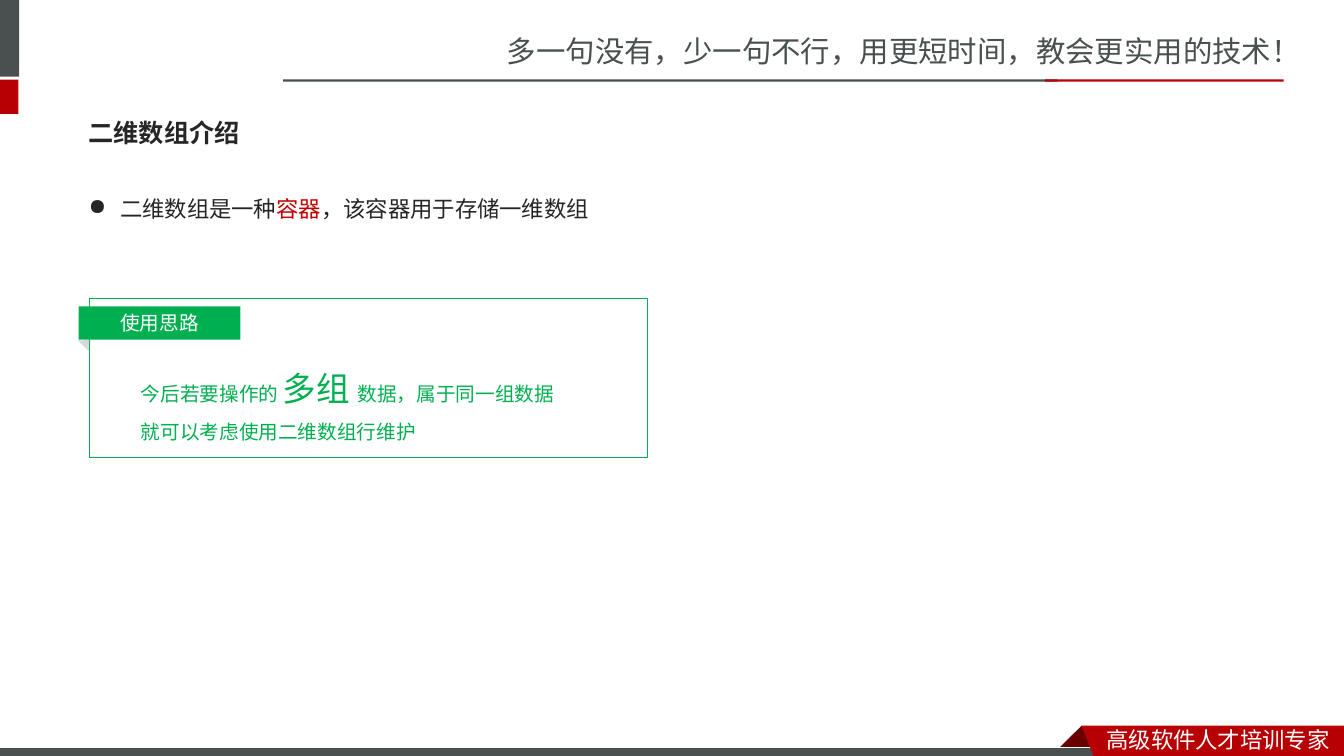
"""Build the slide that introduces two-dimensional arrays."""
from dataclasses import dataclass
from typing import Optional

from lxml.etree import SubElement
from pptx import Presentation
from pptx.dml.color import RGBColor
from pptx.enum.shapes import MSO_SHAPE
from pptx.enum.text import MSO_ANCHOR, PP_ALIGN
from pptx.oxml.ns import qn
from pptx.util import Pt

GREY = RGBColor(0x49, 0x50, 0x4F)
RED = RGBColor(0xB6, 0x00, 0x04)
DARK_RED = RGBColor(0x68, 0x00, 0x00)
ACCENT = RGBColor(0xC0, 0x00, 0x00)
INK = RGBColor(0x26, 0x26, 0x26)
GREEN = RGBColor(0x00, 0xB0, 0x50)
FOLD_GREY = RGBColor(0xD9, 0xD9, 0xD9)
WHITE = RGBColor(0xFF, 0xFF, 0xFF)

CJK = "Noto Sans CJK SC"
CJK_JP = "Noto Sans CJK JP"
MONO = "Noto Sans Mono"
LATO = "Lato"


@dataclass
class Run:
    text: str
    size: float
    color: RGBColor
    font: str = CJK
    bold: bool = False


@dataclass
class Box:
    left: float
    top: float
    width: float
    height: float
    fill: Optional[RGBColor] = None
    line: Optional[RGBColor] = None
    kind: MSO_SHAPE = MSO_SHAPE.RECTANGLE
    rotation: float = 0


@dataclass
class Outline:
    points: list[tuple[float, float]]
    fill: RGBColor


@dataclass
class Label:
    left: float
    top: float
    width: float
    height: float
    lines: list[list[Run]]
    spacing: float = 1.0
    before: float = 0
    wrap: bool = True
    bullet: bool = False
    anchor: MSO_ANCHOR = MSO_ANCHOR.TOP


def paint(sp, fill: Optional[RGBColor], line: Optional[RGBColor] = None) -> None:
    sp.shadow.inherit = False
    if fill is None:
        sp.fill.background()
    else:
        sp.fill.solid()
        sp.fill.fore_color.rgb = fill
    if line is None:
        sp.line.fill.background()
    else:
        sp.line.color.rgb = line
        sp.line.width = Pt(0.75)


def draw_box(s, box: Box):
    sp = s.shapes.add_shape(box.kind, Pt(box.left), Pt(box.top), Pt(box.width), Pt(box.height))
    sp.rotation = box.rotation
    paint(sp, box.fill, box.line)
    return sp


def draw_outline(s, outline: Outline) -> None:
    start, *rest = [(Pt(x), Pt(y)) for x, y in outline.points]
    builder = s.shapes.build_freeform(*start)
    builder.add_line_segments(rest, close=True)
    paint(builder.convert_to_shape(), outline.fill)


def add_runs(p, runs: list[Run]) -> None:
    for run in runs:
        r = p.add_run()
        r.text = run.text
        r.font.size = Pt(run.size)
        r.font.bold = run.bold
        r.font.color.rgb = run.color
        r.font.name = run.font
        east_asian = CJK_JP if run.font == CJK_JP else CJK
        SubElement(r.font._element, qn("a:ea")).set("typeface", east_asian)


def add_bullet(p) -> None:
    props = p._p.get_or_add_pPr()
    props.set("marL", str(Pt(22.5)))
    props.set("indent", str(-Pt(22.5)))
    SubElement(props, qn("a:buChar")).set("char", "●")


def draw_label(s, label: Label) -> None:
    sp = s.shapes.add_textbox(Pt(label.left), Pt(label.top), Pt(label.width), Pt(label.height))
    tf = sp.text_frame
    tf.word_wrap = label.wrap
    tf.vertical_anchor = label.anchor
    for i, runs in enumerate(label.lines):
        p = tf.add_paragraph() if i else tf.paragraphs[0]
        p.line_spacing = label.spacing
        p.space_before = Pt(label.before)
        if label.bullet:
            add_bullet(p)
        add_runs(p, runs)


def draw_tag(s, box: Box, run: Run) -> None:
    tf = draw_box(s, box).text_frame
    tf.vertical_anchor = MSO_ANCHOR.MIDDLE
    p = tf.paragraphs[0]
    p.alignment = PP_ALIGN.CENTER
    add_runs(p, [run])


FRAME = [
    Label(355, 20.2, 605.5, 33.8,
          [[Run("多一句没有，少一句不行，用更短时间，教会更实用的技术！", 21, GREY)]], wrap=False),
    Box(-4.3, 0, 18, 54.7, GREY),
    Box(-4.3, 56.9, 17.5, 24.5, RED),
    Box(202.3, 56.7, 553, 1.6, GREY),
    Box(746.6, 56.7, 170.4, 1.6, RED),
    Outline([(772.6, 518.4), (788.4, 534.2), (787.7, 535), (757.4, 535), (756.7, 534.2)],
            DARK_RED),
    Box(-0.7, 533.8, 792, 8.6, GREY, WHITE),
    Outline([(772.6, 518.4), (960, 518.4), (960, 542.9), (781.9, 542.2)], RED),
    Label(783.2, 514.8, 176.5, 26.6, [[Run("高级软件人才培训专家", 16, WHITE)]], wrap=False),
]

CONTENT = [
    Label(56.2, 126, 487.4, 33.8,
          [[Run("二维数组是一种", 16, INK, CJK_JP), Run("容器", 16, ACCENT, CJK_JP),
            Run("，该容器用于存储一维数组", 16, INK, CJK_JP)]], spacing=1.5, bullet=True),
    Label(56.2, 74.2, 846.7, 41, [[Run("二维数组介绍", 18, INK, MONO, True)]],
          before=3.6, anchor=MSO_ANCHOR.MIDDLE),
    Box(56.2, 241.9, 12.2, 6.5, FOLD_GREY, kind=MSO_SHAPE.ISOSCELES_TRIANGLE, rotation=44.2),
    Box(64, 213.1, 398.2, 113.8, line=GREEN),
]

TAG = Box(56.2, 218.9, 115.6, 23.8, GREEN)
TAG_TEXT = Run("使用思路", 14, WHITE, LATO)
ADVICE = Label(93.6, 244.8, 412.6, 73.4, [
    [Run("今后若要操作的 ", 14, GREEN, MONO), Run("多组 ", 24, GREEN, MONO),
     Run("数据，属于同一组数据", 14, GREEN, MONO)],
    [Run("就可以考虑使用二维数组行维护", 14, GREEN, MONO)],
], spacing=1.5)


def main() -> None:
    prs = Presentation()
    prs.slide_width, prs.slide_height = Pt(960), Pt(540)
    s = prs.slides.add_slide(prs.slide_layouts[6])
    draw = {Box: draw_box, Outline: draw_outline, Label: draw_label}
    for item in FRAME + CONTENT:
        draw[type(item)](s, item)
    draw_tag(s, TAG, TAG_TEXT)
    draw_label(s, ADVICE)
    prs.save("out.pptx")


if __name__ == "__main__":
    main()
